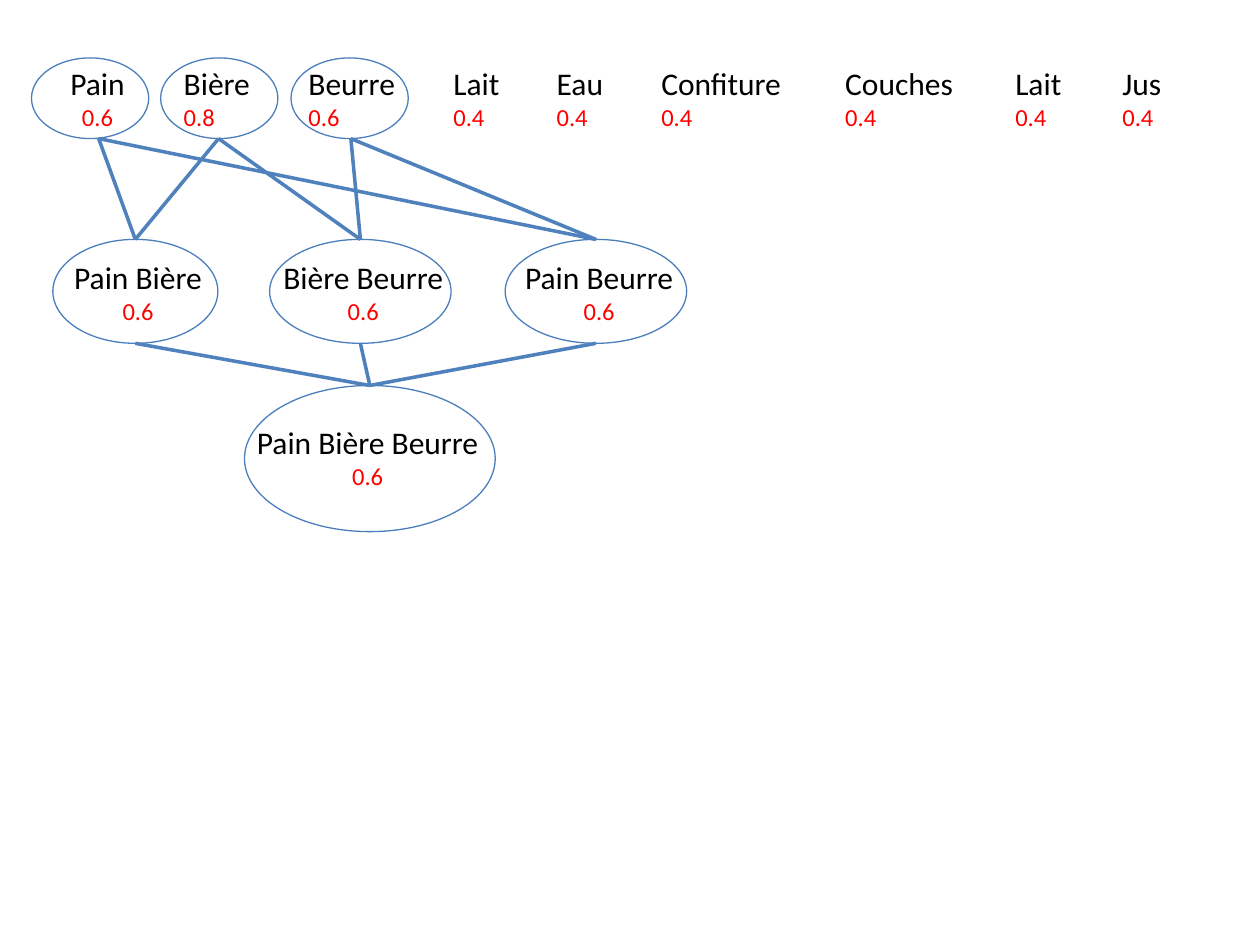
from lxml.etree import SubElement
from pptx import Presentation
from pptx.dml.color import RGBColor
from pptx.enum.shapes import MSO_CONNECTOR, MSO_SHAPE
from pptx.enum.text import MSO_AUTO_SIZE, PP_ALIGN
from pptx.oxml.ns import qn
from pptx.util import Pt

COLORS = {"item": "000000", "support": "FF0000", "oval": "4B7EBC", "link": "4F81BD"}
ITEM_TOP, PAIR_TOP, TRIPLE_TOP = 33.1, 136.8, 220.3
ITEM_H, PAIR_H, TRIPLE_H = 46.1, 59.4, 83.5

prs = Presentation()
prs.slide_width, prs.slide_height = Pt(720), Pt(540)
s = prs.slides.add_slide(prs.slide_layouts[6])


def add_label(name, support, left, top, width, align):
    """Write an itemset with its support underneath."""
    tf = s.shapes.add_textbox(Pt(left), Pt(top), Pt(width), Pt(46.1)).text_frame
    tf.word_wrap = False
    tf.auto_size = MSO_AUTO_SIZE.SHAPE_TO_FIT_TEXT
    tf.text = f"{name}\n{support}"
    tf.paragraphs[1].alignment = align
    for p, size, color in zip(tf.paragraphs, (18, 14), ("item", "support")):
        font = p.runs[0].font
        font.name, font.size = "Calibri", Pt(size)
        font.color.rgb = RGBColor.from_string(COLORS[color])


def add_link(x1, y1, x2, y2):
    """Join two itemsets with a straight line."""
    line = s.shapes.add_connector(
        MSO_CONNECTOR.STRAIGHT, Pt(x1), Pt(y1), Pt(x2), Pt(y2))
    line.line.color.rgb = RGBColor.from_string(COLORS["link"])
    line.line.width = Pt(2)
    SubElement(line._element.spPr, qn("a:effectLst"))


# Single items: name, support, left, width
items = [
    ("Pain", "0.6", 33.1, 46.1), ("Bière", "0.8", 97.9, 53.3),
    ("Beurre", "0.6", 169.2, 64.8), ("Lait", "0.4", 252, 41),
    ("Eau", "0.4", 311, 41.8), ("Confiture", "0.4", 370.8, 86.4),
    ("Couches", "0.4", 475.9, 79.2), ("Lait", "0.4", 573.1, 43.2),
    ("Jus", "0.4", 634.3, 41),
]
for name, support, left, width in items:
    align = PP_ALIGN.CENTER if name == "Pain" else PP_ALIGN.LEFT
    add_label(name, support, left, ITEM_TOP, width, align)

# Combined itemsets: name, left, top, width
itemsets = [
    ("Pain Bière", 35.3, 144, 89.3), ("Bière Beurre", 154.8, 144, 107.3),
    ("Pain Beurre", 293, 144, 100.8), ("Pain Bière Beurre", 139.7, 238.3, 143.3),
]
for name, left, top, width in itemsets:
    add_label(name, "0.6", left, top, width, PP_ALIGN.CENTER)

# Ovals around the frequent itemsets: left, top, width, height
item_ovals = [(left, ITEM_TOP, 67, ITEM_H) for left in (18, 91.8, 166.3)]
pair_ovals = [(left, PAIR_TOP, width, PAIR_H)
              for left, width in ((30.2, 94.3), (154.1, 103.7), (288.7, 103.7))]
triple_oval = (139.7, TRIPLE_TOP, 143.3, TRIPLE_H)
for box in item_ovals + pair_ovals + [triple_oval]:
    sp = s.shapes.add_shape(MSO_SHAPE.OVAL, *map(Pt, box))
    sp.shadow.inherit = False
    sp.fill.background()
    sp.line.color.rgb = RGBColor.from_string(COLORS["oval"])
    sp.line.width = Pt(0.75)

# Links from items to pairs, then from pairs to the triple
item_x = {"Pain": 56.4, "Bière": 124.9, "Beurre": 200.5}
pair_x = [left + width / 2 for left, _, width, _ in pair_ovals]
triple_x = triple_oval[0] + triple_oval[2] / 2
for (pair, *_), x in zip(itemsets, pair_x):
    for item in pair.split():
        add_link(item_x[item], ITEM_TOP + ITEM_H, x, PAIR_TOP)
    add_link(x, PAIR_TOP + PAIR_H, triple_x, TRIPLE_TOP)

prs.save("out.pptx")
